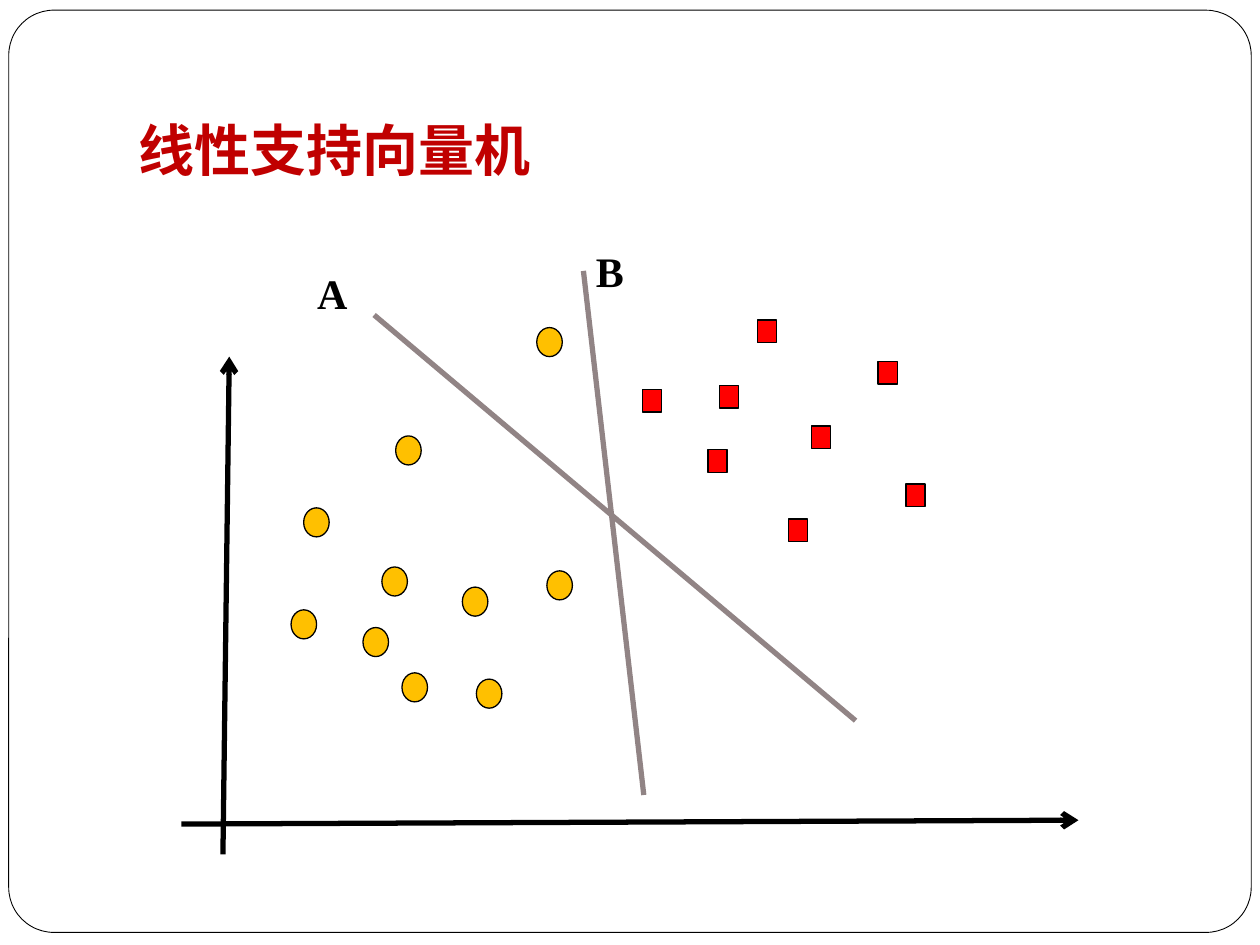
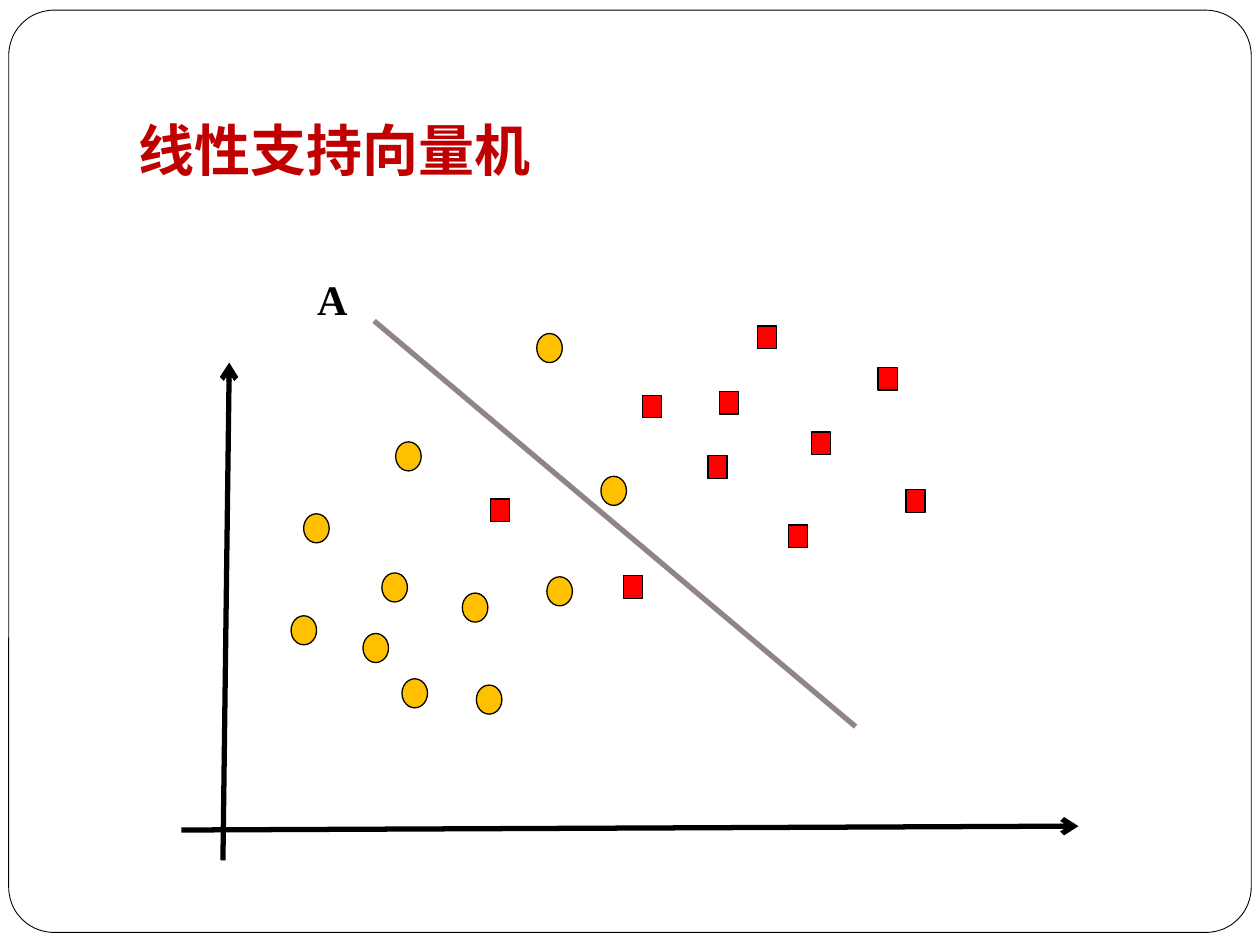
from lxml import etree
from pptx import Presentation
from pptx.dml.color import RGBColor
from pptx.enum.shapes import MSO_CONNECTOR, MSO_SHAPE
from pptx.enum.text import MSO_ANCHOR, PP_ALIGN
from pptx.oxml.ns import qn
from pptx.util import Pt

STRAIGHT = MSO_CONNECTOR.STRAIGHT
OVAL, RECTANGLE = MSO_SHAPE.OVAL, MSO_SHAPE.RECTANGLE
ROUNDED = MSO_SHAPE.ROUNDED_RECTANGLE
LEFT, BOTTOM = PP_ALIGN.LEFT, MSO_ANCHOR.BOTTOM

WHITE = RGBColor(0xFF, 0xFF, 0xFF)
BLACK = RGBColor(0x00, 0x00, 0x00)
TITLE_RED = RGBColor(0xC0, 0x00, 0x00)
CIRCLE_GOLD = RGBColor(0xFF, 0xC0, 0x00)
SQUARE_RED = RGBColor(0xFF, 0x00, 0x00)
BOUNDARY_GREY = RGBColor(0x91, 0x84, 0x85)

FONT = "Times New Roman"
TITLE = "线性支持向量机"
TITLE_ONLY_LAYOUT = 5
CIRCLE_SIZE = (14.6, 16.6)
SQUARE_SIZE = (10.9, 12.9)
NOISY_SHIFT = 3.4

AXES = [((103.7, 470.9), (616.3, 468.7)), ((127.4, 488.2), (131, 203.8))]
CIRCLES = [(264.2, 335.5), (173.5, 290.2), (272.2, 388.1), (207.4, 358.6), (312.5, 326.2),
           (226.1, 249.1), (218.2, 324), (166.3, 348.5), (229.7, 384.5), (306.7, 187.2)]
SQUARES = [(367.2, 222.5), (432.7, 182.9), (463.7, 243.4), (411.1, 220.3),
           (450.7, 296.6), (404.6, 257), (517.7, 276.5), (501.8, 206.6)]
NOISE_CIRCLES = [(343.4, 268.8)]
NOISE_SQUARES = [(280.1, 281.7), (356.4, 325.6)]
BOUNDARY_A = ("A", (213.8, 180), (488.9, 411.8), (174.2, 149.6))
BOUNDARY_B = ("B", (333.4, 154.8), (367.9, 454.3), (333.4, 136.8))


def add_span(para, text, size, color):
    """Add one bold run in the deck's font."""
    span = para.add_run()
    span.text = text
    span.font.name = FONT
    span.font.size = Pt(size)
    span.font.bold = True
    span.font.color.rgb = color


def add_shape(page, kind, place, size, fill, weight):
    """Add a filled preset shape with a black outline."""
    shape = page.shapes.add_shape(kind, *map(Pt, place + size))
    shape.shadow.inherit = False
    shape.fill.solid()
    shape.fill.fore_color.rgb = fill
    shape.line.color.rgb = BLACK
    shape.line.width = Pt(weight)
    return shape


def add_line(page, start, end, color, arrow=False):
    """Add a thick straight line, with an arrowhead at its end if asked."""
    line = page.shapes.add_connector(STRAIGHT, *map(Pt, start + end))
    line.line.color.rgb = color
    line.line.width = Pt(3)
    if arrow:
        outline = line.line._get_or_add_ln()
        etree.SubElement(outline, qn("a:tailEnd"), type="arrow")
    etree.SubElement(line.element.spPr, qn("a:effectLst"))


def add_label(page, text, place):
    """Add the letter that names a boundary."""
    box = page.shapes.add_textbox(*map(Pt, place + (30.2, 36)))
    box.text_frame.word_wrap = True
    add_span(box.text_frame.paragraphs[0], text, 24, BLACK)


def add_page(deck):
    """Add a page with the rounded frame behind its title."""
    page = deck.slides.add_slide(deck.slide_layouts[TITLE_ONLY_LAYOUT])
    frame = add_shape(page, ROUNDED, (5, 5.8), (710, 527), WHITE, 0.5)
    frame.adjustments[0] = 0.049
    frame.element.getparent().insert(2, frame.element)

    title = page.shapes.title
    title.left, title.top, title.width, title.height = map(Pt, (72, 21.6, 612, 90))
    text = title.text_frame
    text.vertical_anchor = BOTTOM
    text.margin_left = text.margin_right = text.margin_bottom = Pt(7.2)
    text.margin_top = Pt(3.6)
    para = text.paragraphs[0]
    para.alignment = LEFT
    add_span(para, TITLE, 32, TITLE_RED)
    return page


def add_scatter(page, circles, squares, boundaries, shift=0):
    """Draw axes, both classes of points and the boundaries, moved down by shift."""
    def lower(point):
        """Move a point down by shift."""
        return point[0], point[1] + shift

    for start, end in AXES:
        add_line(page, lower(start), lower(end), BLACK, arrow=True)
    for place in circles:
        add_shape(page, OVAL, lower(place), CIRCLE_SIZE, CIRCLE_GOLD, 0.75)
    for place in squares:
        add_shape(page, RECTANGLE, lower(place), SQUARE_SIZE, SQUARE_RED, 0.75)
    for name, start, end, label_place in boundaries:
        add_line(page, lower(start), lower(end), BOUNDARY_GREY)
        add_label(page, name, lower(label_place))


def main():
    """Build the separable and the noisy scatter pages."""
    deck = Presentation()
    deck.slide_width, deck.slide_height = Pt(720), Pt(540)
    add_scatter(add_page(deck), CIRCLES, SQUARES, [BOUNDARY_A, BOUNDARY_B])
    add_scatter(add_page(deck), CIRCLES + NOISE_CIRCLES, SQUARES + NOISE_SQUARES,
                [BOUNDARY_A], NOISY_SHIFT)
    deck.save("out.pptx")


if __name__ == "__main__":
    main()
